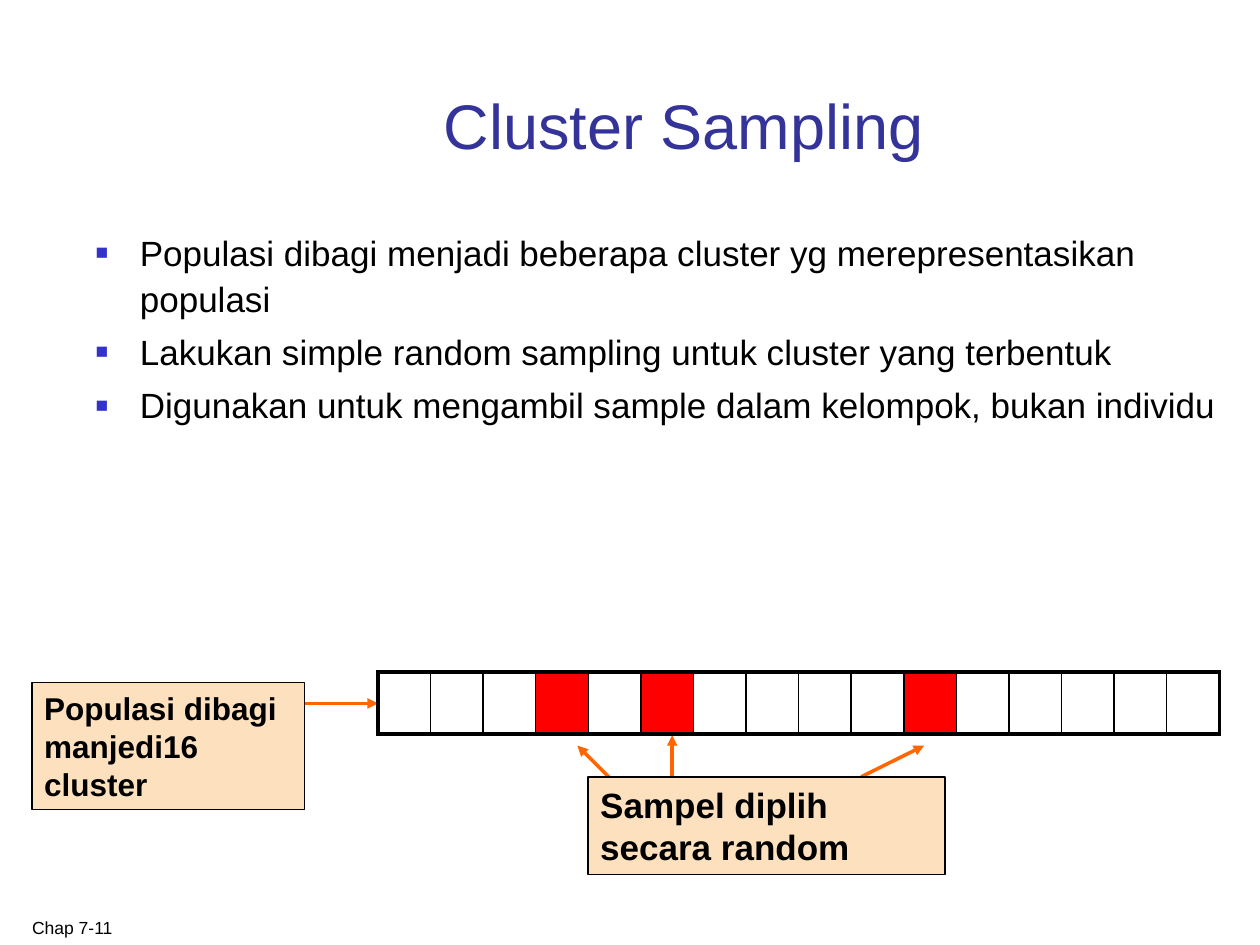
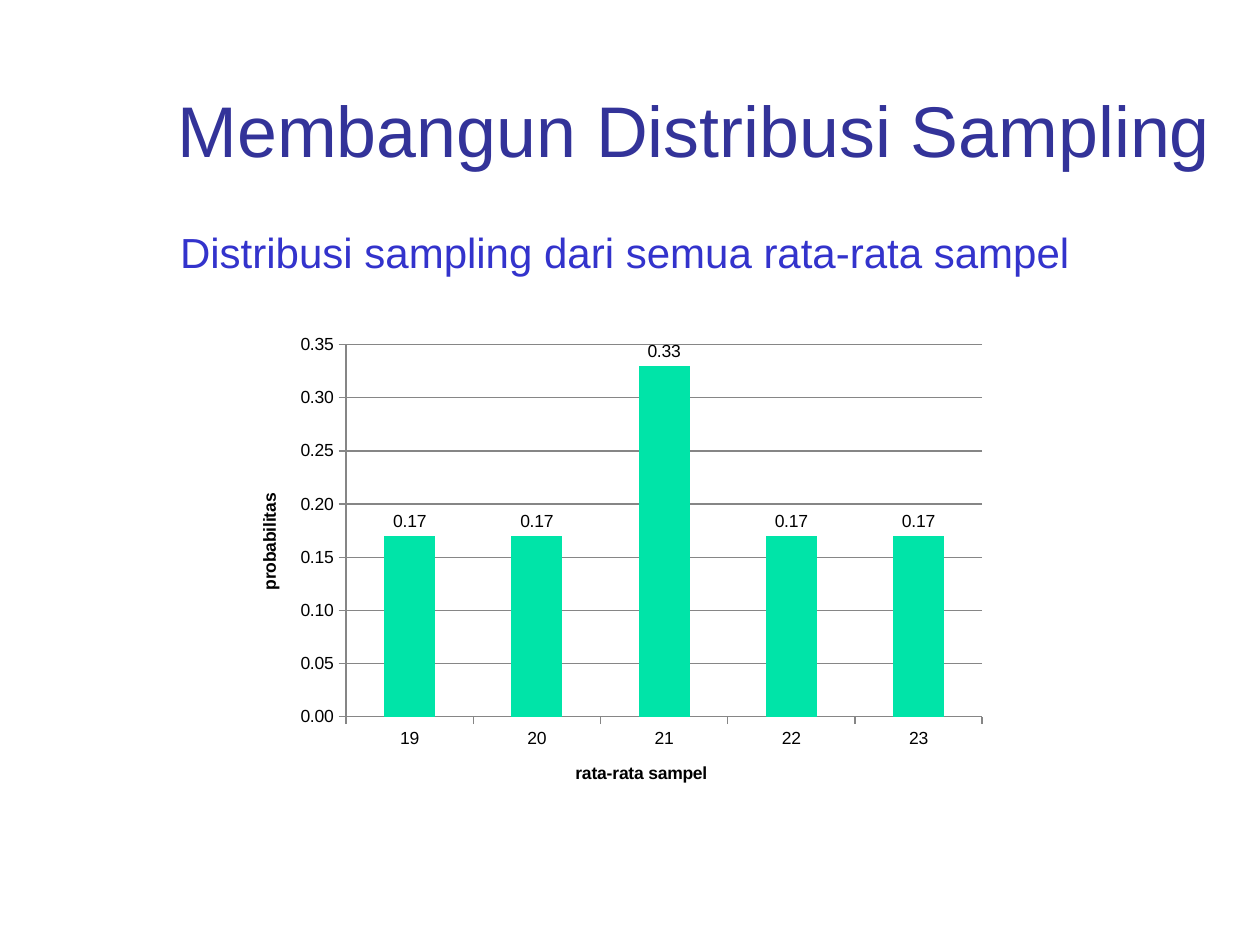
from lxml.etree import SubElement
from pptx import Presentation
from pptx.chart.data import CategoryChartData
from pptx.dml.color import RGBColor
from pptx.enum.chart import XL_CHART_TYPE, XL_LABEL_POSITION, XL_TICK_MARK
from pptx.enum.shapes import MSO_CONNECTOR, MSO_SHAPE
from pptx.enum.text import MSO_ANCHOR, MSO_AUTO_SIZE, PP_ALIGN
from pptx.oxml import parse_xml
from pptx.oxml.ns import nsdecls, qn
from pptx.util import Cm, Pt

FONT = "Arial"
BLACK = RGBColor(0x00, 0x00, 0x00)
NAVY = RGBColor(0x33, 0x33, 0x99)
BLUE = RGBColor(0x33, 0x33, 0xCC)
PEACH = RGBColor(0xFD, 0xE0, 0xBD)
ORANGE = RGBColor(0xFF, 0x66, 0x00)
RED = RGBColor(0xFF, 0x00, 0x00)
GREEN = RGBColor(0x00, 0xE4, 0xA8)
GRAY = RGBColor(0x86, 0x86, 0x86)


def bullet(para, color):
    props = para._p.get_or_add_pPr()
    props.set("marL", str(Cm(0.89)))
    props.set("indent", str(-Cm(0.89)))
    tint = SubElement(props, qn("a:buClr"))
    SubElement(tint, qn("a:srgbClr"), val=str(color))
    SubElement(props, qn("a:buSzPct"), val="60000")
    SubElement(props, qn("a:buFont"), typeface=FONT)
    SubElement(props, qn("a:buChar"), char="■")


def write(frame, text, size=20, color=BLACK, bold=False, align=PP_ALIGN.LEFT,
          anchor=MSO_ANCHOR.TOP, inset=0.23, space=None, gap=0, mark=None):
    frame.word_wrap = True
    frame.auto_size = MSO_AUTO_SIZE.NONE
    frame.vertical_anchor = anchor
    frame.margin_left = frame.margin_right = Cm(inset)
    frame.margin_top = frame.margin_bottom = Cm(0.13)
    for i, line in enumerate(text.split("\n")):
        para = frame.add_paragraph() if i else frame.paragraphs[0]
        if mark:
            bullet(para, mark)
        para.alignment = align
        para.line_spacing = space
        para.space_before = Pt(gap if i else 0)
        run = para.add_run()
        run.text = line
        run.font.name = FONT
        run.font.size = Pt(size)
        run.font.bold = bold
        run.font.color.rgb = color


class Deck:
    def __init__(self):
        self.prs = Presentation()
        self.prs.slide_width = Cm(25.4)
        self.prs.slide_height = Cm(19.05)
        self.slide = None

    def page(self, title, box, size):
        self.slide = self.prs.slides.add_slide(self.prs.slide_layouts[5])
        head = self.slide.shapes.title
        head.left, head.top, head.width, head.height = map(Cm, box)
        write(head.text_frame, title, size=size, color=NAVY,
              align=PP_ALIGN.CENTER, anchor=MSO_ANCHOR.BOTTOM)

    def text(self, text, box, **style):
        shape = self.slide.shapes.add_textbox(*map(Cm, box))
        write(shape.text_frame, text, **style)

    def label(self, text, box, size):
        shape = self.slide.shapes.add_shape(MSO_SHAPE.RECTANGLE, *map(Cm, box))
        shape.shadow.inherit = False
        shape.fill.solid()
        shape.fill.fore_color.rgb = PEACH
        shape.line.color.rgb = BLACK
        shape.line.width = Pt(1)
        write(shape.text_frame, text, size=size, bold=True, inset=0.25)

    def arrow(self, *ends):
        link = self.slide.shapes.add_connector(MSO_CONNECTOR.STRAIGHT, *map(Cm, ends))
        link.line.color.rgb = ORANGE
        link.line.width = Pt(2)
        props = link._element.spPr
        SubElement(props.find(qn("a:ln")), qn("a:tailEnd"), type="triangle")
        SubElement(props, qn("a:effectLst"))

    def strip(self, left, top, side, height, count, picks):
        frame = self.slide.shapes.add_table(
            1, count, Cm(left), Cm(top), Cm(side * count), Cm(height))
        table = frame.table
        table.first_row = table.horz_banding = False
        for i, column in enumerate(table.columns):
            column.width = Cm(side)
            cell = table.cell(0, i)
            if i in picks:
                cell.fill.solid()
                cell.fill.fore_color.rgb = RED
            else:
                cell.fill.background()
            self.border(cell, L=1 if i else 2.25, R=1 if i < count - 1 else 2.25,
                        T=2.25, B=2.25)

    def border(self, cell, **sides):
        props = cell._tc.get_or_add_tcPr()
        for i, (side, width) in enumerate(sides.items()):
            props.insert(i, parse_xml(
                f'<a:ln{side} {nsdecls("a")} w="{Pt(width)}"><a:solidFill>'
                f'<a:srgbClr val="{BLACK}"/></a:solidFill></a:ln{side}>'))

    def axis(self, axis, title):
        axis.major_tick_mark = XL_TICK_MARK.OUTSIDE
        axis.minor_tick_mark = XL_TICK_MARK.NONE
        axis.format.line.color.rgb = GRAY
        frame = axis.axis_title.text_frame
        frame.text = title
        font = frame.paragraphs[0].runs[0].font
        font.name, font.size, font.bold = FONT, Pt(10), True
        font.color.rgb = BLACK

    def chart(self, box, names, values, across, up):
        data = CategoryChartData(number_format="0.00")
        data.categories = names
        data.add_series("Series 1", values)
        chart = self.slide.shapes.add_chart(
            XL_CHART_TYPE.COLUMN_CLUSTERED, *map(Cm, box), data).chart
        chart.has_legend = chart.has_title = False
        chart.font.name, chart.font.size = FONT, Pt(10)
        chart.font.color.rgb = BLACK
        self.axis(chart.category_axis, across)
        scale = chart.value_axis
        self.axis(scale, up)
        scale.minimum_scale, scale.maximum_scale, scale.major_unit = 0, 0.35, 0.05
        scale.tick_labels.number_format = "0.00"
        scale.tick_labels.number_format_is_linked = False
        scale.major_gridlines.format.line.color.rgb = GRAY
        plot = chart.plots[0]
        plot.gap_width = 150
        plot.vary_by_categories = False
        bars = plot.series[0].format
        bars.fill.solid()
        bars.fill.fore_color.rgb = GREEN
        plot.has_data_labels = True
        labels = plot.data_labels
        labels.show_value = True
        labels.position = XL_LABEL_POSITION.OUTSIDE_END
        labels.number_format = "0.00"
        labels.number_format_is_linked = False
        self.layout(chart, x=0.15, y=0.04, w=0.83, h=0.77)

    def layout(self, chart, **sizes):
        area = chart._chartSpace.chart.plotArea
        for old in area.findall(qn("c:layout")):
            area.remove(old)
        rows = "".join(f'<c:{key} val="{val}"/>' for key, val in sizes.items())
        area.insert(0, parse_xml(
            f'<c:layout {nsdecls("c")}><c:manualLayout><c:layoutTarget val="inner"/>'
            f'<c:xMode val="edge"/><c:yMode val="edge"/>{rows}'
            f'</c:manualLayout></c:layout>'))


def main():
    deck = Deck()

    deck.page("Cluster Sampling", (2.96, 0.64, 21.64, 2.75), 36)
    deck.text("Chap 7-11", (0.42, 18.16, 12.91, 0.89), size=10,
              anchor=MSO_ANCHOR.BOTTOM)
    deck.text("Populasi dibagi menjadi beberapa cluster yg merepresentasikan populasi\n"
              "Lakukan simple random sampling untuk cluster yang terbentuk\n"
              "Digunakan untuk mengambil sample dalam kelompok, bukan individu",
              (1.7, 4.45, 23.1, 8.47), space=1.1, gap=4, mark=BLUE)
    deck.label("Populasi dibagi manjedi16 cluster", (0.64, 13.76, 5.5, 2.56), 18)
    for ends in ((12.49, 15.88, 11.64, 15.03), (13.55, 15.88, 13.55, 14.82),
                 (6.14, 14.18, 7.62, 14.18), (17.36, 15.66, 18.63, 15.03)):
        deck.arrow(*ends)
    deck.strip(7.62, 13.55, 1.06, 1.25, 16, (3, 5, 10))
    deck.label("Sampel diplih secara random", (11.85, 15.66, 7.2, 1.97), 20)

    deck.page("Membangun Distribusi Sampling", (3.18, 0.42, 21.64, 3.18), 41)
    deck.text("Distribusi sampling dari semua rata-rata sampel",
              (2.75, 4.23, 19.69, 1.48), size=24, color=BLUE,
              align=PP_ALIGN.CENTER, anchor=MSO_ANCHOR.BOTTOM, space=1.2)
    deck.chart((4.66, 6.56, 15.45, 9.74), ("19", "20", "21", "22", "23"),
               (0.17, 0.17, 0.33, 0.17, 0.17), "rata-rata sampel", "probabilitas")

    deck.prs.save("out.pptx")


if __name__ == "__main__":
    main()
